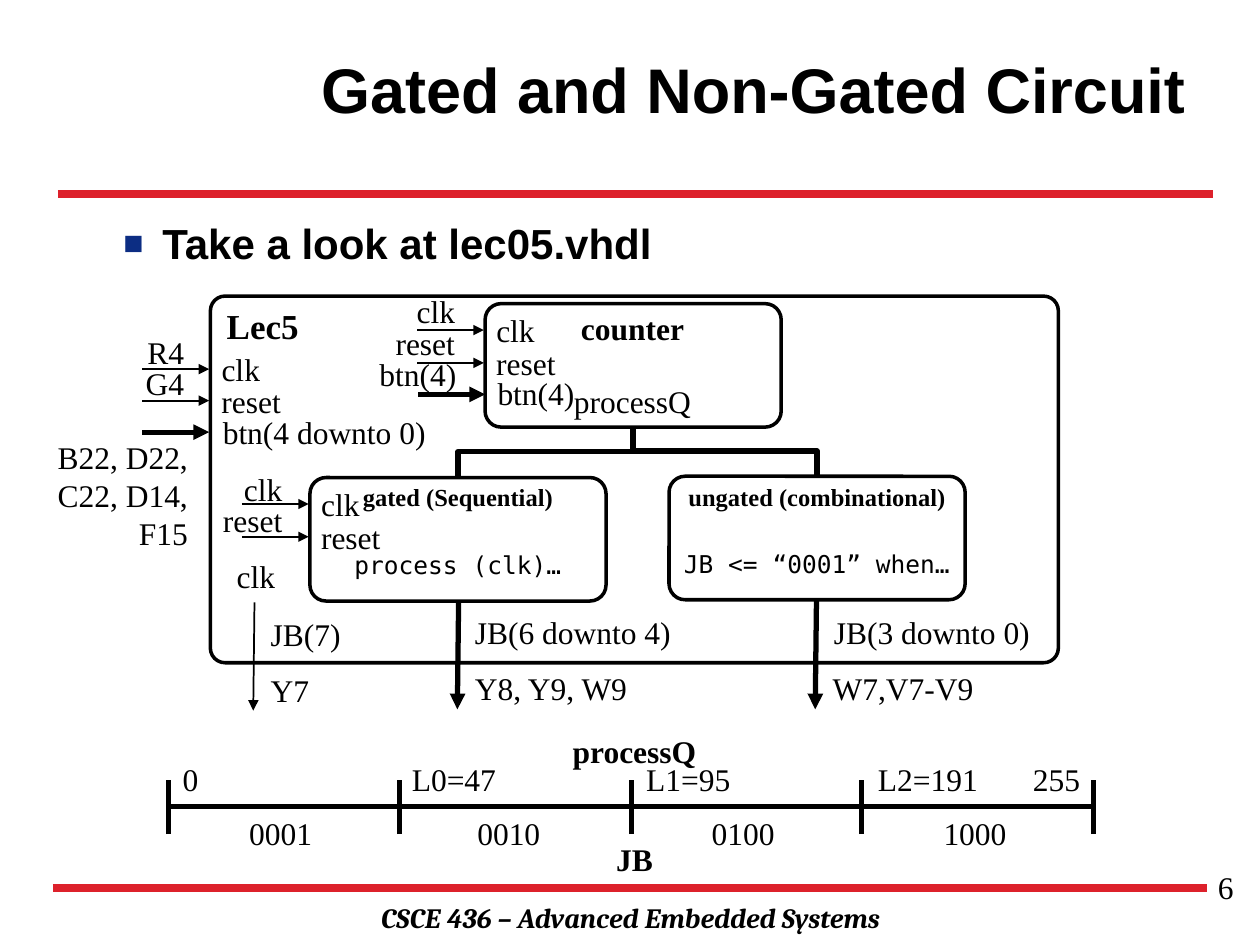
"""Build the slide on gated and non-gated circuits with its block diagram and value scale."""
from lxml.etree import SubElement
from pptx import Presentation
from pptx.dml.color import RGBColor
from pptx.enum.shapes import MSO_CONNECTOR, MSO_SHAPE
from pptx.enum.text import MSO_ANCHOR, PP_ALIGN
from pptx.oxml.ns import qn
from pptx.util import Pt

PX = 9144
COLORS = {"ink": "000000", "rule": "DD212B", "bullet": "0C2D83"}
SERIF, SANS, MONO = "Times New Roman", "Arial", "DejaVu Sans Mono"
LEFT, CENTER, RIGHT = PP_ALIGN.LEFT, PP_ALIGN.CENTER, PP_ALIGN.RIGHT
LINE_HEIGHT = {14: 34, 16: 37, 18: 40, 20: 44}


def write(shapes, text, x, y, w, align=LEFT, size=18, bold=False, font=SERIF, h=None):
    box = shapes.add_textbox(x * PX, y * PX, w * PX, (h or LINE_HEIGHT[size]) * PX)
    box.text_frame.word_wrap = True
    paragraph = box.text_frame.paragraphs[0]
    paragraph.alignment = align
    run = paragraph.add_run()
    run.text = text
    run.font.name, run.font.size, run.font.bold = font, Pt(size), bold
    run.font.color.rgb = RGBColor.from_string(COLORS["ink"])
    return paragraph


def wire(shapes, x1, y1, x2, y2, weight=3, color="ink", arrow=False, turn=None):
    kind = MSO_CONNECTOR.STRAIGHT if turn is None else MSO_CONNECTOR.ELBOW
    line = shapes.add_connector(kind, x1 * PX, y1 * PX, x2 * PX, y2 * PX)
    line.line.width = Pt(weight)
    line.line.color.rgb = RGBColor.from_string(COLORS[color])
    properties = line.element.spPr
    if arrow:
        SubElement(properties.find(qn("a:ln")), qn("a:tailEnd"), type="triangle")
    if turn is not None:
        properties.xfrm.rot = turn
    SubElement(properties, qn("a:effectLst"))


deck = Presentation()
deck.slide_width, deck.slide_height = 1000 * PX, 750 * PX
slide = deck.slides.add_slide(deck.slide_layouts[5])

footer = write(slide.shapes, "CSCE 436 – Advanced Embedded Systems", 142, 710, 717,
               CENTER, 16, True, "Cambria")
footer.runs[0].font.italic = True
wire(slide.shapes, 42, 705, 958, 705, 4.5, "rule")
wire(slide.shapes, 46, 154, 963, 154, 4.5, "rule")

title = slide.shapes.title
title.left, title.top, title.width, title.height = 209 * PX, 8 * PX, 742 * PX, 125 * PX
title.text_frame.vertical_anchor = MSO_ANCHOR.MIDDLE
heading = title.text_frame.paragraphs[0]
heading.alignment = RIGHT
heading_run = heading.add_run()
heading_run.text = "Gated and Non-Gated Circuit"
heading_run.font.name, heading_run.font.size, heading_run.font.bold = SANS, Pt(36), True
heading_run.font.color.rgb = RGBColor.from_string(COLORS["ink"])

instruction = write(slide.shapes, "Take a look at lec05.vhdl", 88, 168, 889,
                    LEFT, 24, True, SANS, h=473)
indent = instruction._p.get_or_add_pPr()
indent.set("marL", str(31 * PX))
indent.set("indent", str(-31 * PX))
SubElement(SubElement(indent, qn("a:buClr")), qn("a:srgbClr"), val=COLORS["bullet"])
SubElement(indent, qn("a:buSzPct"), val="80000")
SubElement(indent, qn("a:buFont"), typeface=SANS)
SubElement(indent, qn("a:buChar"), char="■")
write(slide.shapes, "6", 756, 684, 233, RIGHT, h=52)

circuit = slide.shapes.add_group_shape().shapes
for x, y, w, h, rounding in [
    (167, 235, 673, 291, 0.04),
    (385, 241, 235, 98, 0.13),
    (246, 379, 235, 98, 0.13),
    (531, 378, 235, 98, 0.13),
]:
    block = circuit.add_shape(MSO_SHAPE.ROUNDED_RECTANGLE, x * PX, y * PX, w * PX, h * PX)
    block.adjustments[0] = rounding
    block.shadow.inherit = False
    block.fill.background()
    block.line.width = Pt(2)
    block.line.color.rgb = RGBColor.from_string(COLORS["ink"])

for name, x, y, w, size in [
    ("Lec5", 167, 237, 83, 20),
    ("counter", 449, 240, 106, 18),
    ("gated (Sequential)", 246, 378, 235, 14),
    ("ungated (combinational)", 531, 378, 235, 14),
]:
    write(circuit, name, x, y, w, CENTER, size, True)

for code, x, y, w in [("process (clk)…", 260, 432, 207), ("JB <= “0001” when…", 518, 431, 261)]:
    write(circuit, code, x, y, w, CENTER, 14, font=MONO)

for port, x, y, w in [
    ("clk", 384, 242, 58), ("reset", 384, 268, 83), ("btn(4)", 385, 292, 99),
    ("clk", 166, 273, 58), ("reset", 166, 298, 83), ("btn(4 downto 0)", 167, 323, 196),
    ("clk", 245, 380, 58), ("reset", 245, 406, 83),
    ("JB(7)", 205, 483, 98), ("JB(6 downto 4)", 367, 482, 202), ("JB(3 downto 0)", 652, 482, 201),
    ("Y7", 205, 528, 98), ("Y8, Y9, W9", 367, 526, 202), ("W7,V7-V9", 651, 526, 201),
]:
    write(circuit, port, x, y, w)

for signal, right, y, w in [
    ("clk", 371, 227, 58), ("reset", 371, 252, 83), ("btn(4)", 372, 277, 95),
    ("R4", 156, 259, 58), ("G4", 156, 284, 83),
    ("clk", 234, 368, 58), ("reset", 234, 393, 83),
]:
    write(circuit, signal, right - w, y, w, RIGHT)
write(circuit, "B22, D22, C22, D14, F15", 18, 343, 141, RIGHT, h=101)
write(circuit, "processQ", 435, 298, 134, CENTER)
write(circuit, "clk", 174, 437, 58, CENTER)

for x, y, weight in [
    (331, 262, 1), (331, 288, 1), (332, 313, 3),
    (113, 293, 1), (113, 318, 1), (113, 343, 3),
    (192, 400, 1), (192, 426, 1),
]:
    wire(circuit, x, y, x + 53, y, weight, arrow=True)
for x, y, weight in [(202, 478, 1), (364, 477, 3), (648, 477, 3)]:
    wire(circuit, x, y, x - 1, y + 86, weight, arrow=True)
wire(circuit, 595, 285, 556, 431, turn=270)
wire(circuit, 453, 428, 413, 289, turn=90)

scale = slide.shapes.add_group_shape().shapes
wire(scale, 133, 640, 867, 640)
for step in range(5):
    tick = 134 + 734 * step // 4
    wire(scale, tick, 662, tick, 619)
for caption, y in [("processQ", 576), ("JB", 662)]:
    write(scale, caption, 434, y, 139, CENTER, bold=True)
for limit, x, w in [("0", 135, 58), ("L0=47", 317, 92), ("L1=95", 503, 92), ("L2=191", 687, 103)]:
    write(scale, limit, x, 598, w)
write(scale, "255", 809, 598, 58, RIGHT)
for output, x in [("0001", 188), ("0010", 369), ("0100", 555), ("1000", 739)]:
    write(scale, output, x, 641, 70)

deck.save("out.pptx")
